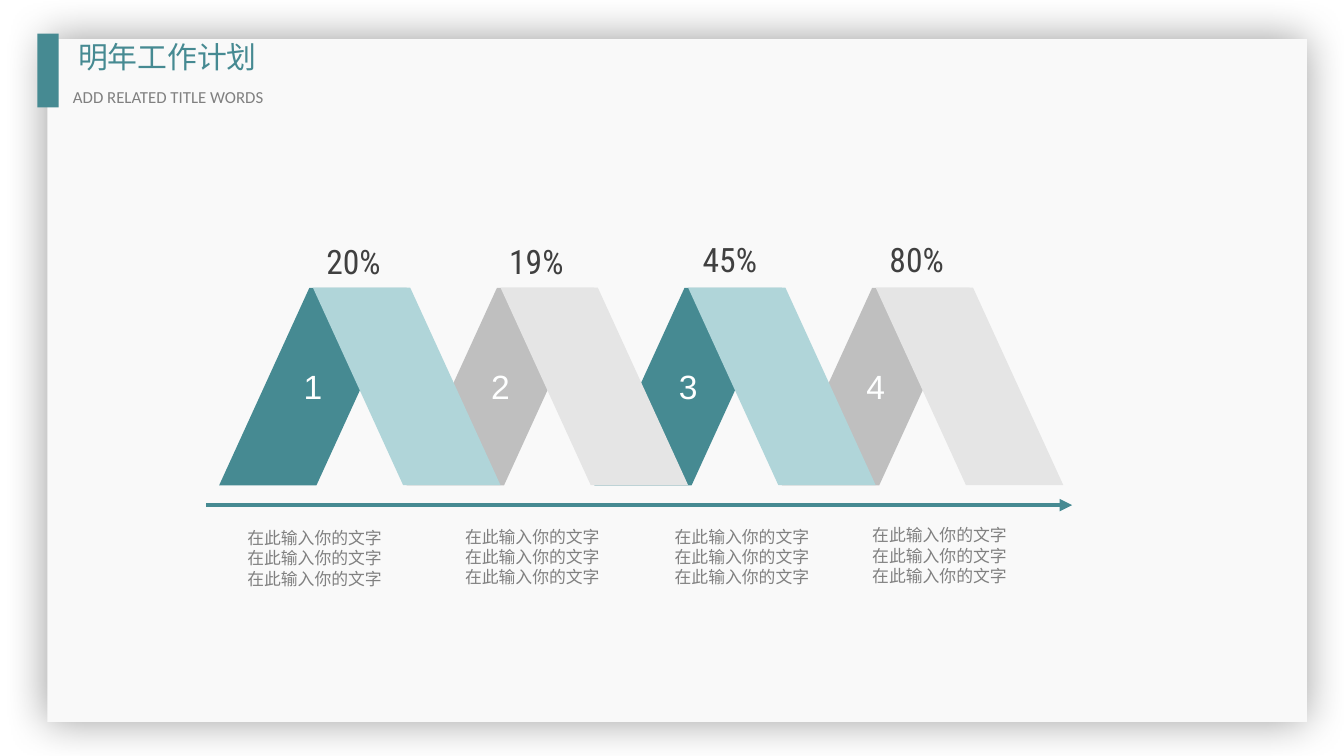
import pptx
import pptx.util
import pptx.dml.color
import pptx.enum.shapes
import pptx.enum.text
import pptx.oxml
import pptx.oxml.ns
from lxml import etree

Pt = pptx.util.Pt
SHAPE = pptx.enum.shapes.MSO_SHAPE
ALIGN = pptx.enum.text.PP_ALIGN
COLORS = {
    "panel": "F9F9F9",
    "teal": "468A92",
    "light_teal": "B0D5D9",
    "silver": "BFBFBF",
    "light_silver": "E5E5E5",
    "number": "FEFFFF",
    "percent": "404040",
    "body": "808080",
    "shadow": "000000",
}
CJK = "Noto Sans CJK SC"
STEPS = [
    ("1", "20%", "teal", "light_teal", (167.76, 125.28), (127.44, 280.08)),
    ("2", "19%", "silver", "light_silver", (265.68, 125.28), (244.08, 279.36)),
    ("3", "45%", "teal", "light_teal", (369.36, 124.56), (356.4, 279.36)),
    ("4", "80%", "silver", "light_silver", (469.44, 124.56), (462.24, 278.64)),
]


def rgb(name):
    return pptx.dml.color.RGBColor.from_string(COLORS[name])


def add_effects(properties, content=""):
    namespace = pptx.oxml.ns.nsdecls("a")
    properties.append(
        pptx.oxml.parse_xml(f"<a:effectLst {namespace}>{content}</a:effectLst>")
    )


def add_block(slide, kind, box, color):
    block = slide.shapes.add_shape(kind, *map(Pt, box))
    block.shadow.inherit = False
    block.fill.solid()
    block.fill.fore_color.rgb = rgb(color)
    block.line.fill.background()
    return block


def write_text(frame, text, size, font, color, align=ALIGN.LEFT,
               anchor=pptx.enum.text.MSO_ANCHOR.TOP, wrap=True, insets=(7.2, 3.6)):
    frame.word_wrap = wrap
    frame.vertical_anchor = anchor
    frame.margin_left = frame.margin_right = Pt(insets[0])
    frame.margin_top = frame.margin_bottom = Pt(insets[1])
    frame.text = text
    for paragraph in frame.paragraphs:
        paragraph.alignment = align
        for run in paragraph.runs:
            run.font.size = Pt(size)
            run.font.name = font
            run.font.color.rgb = rgb(color)
            east_asian = etree.SubElement(
                run.font._element, pptx.oxml.ns.qn("a:ea")
            )
            east_asian.set("typeface", font)


def add_label(slide, box, text, **style):
    label = slide.shapes.add_textbox(*map(Pt, box))
    write_text(label.text_frame, text, **style)


def add_panel(slide, box):
    panel = add_block(slide, SHAPE.RECTANGLE, box, "panel")
    properties = panel.element.spPr
    properties.remove(properties.find(pptx.oxml.ns.qn("a:effectLst")))
    add_effects(
        properties,
        f'<a:outerShdw blurRad="{Pt(23)}" dist="0" dir="0" algn="ctr" rotWithShape="0">'
        f'<a:srgbClr val="{COLORS["shadow"]}"><a:alpha val="40000"/></a:srgbClr>'
        "</a:outerShdw>",
    )


def add_header(slide, left, top):
    add_block(slide, SHAPE.RECTANGLE, (left, top, 11.5, 39.6), "teal")
    add_label(slide, (left + 16.4, top, 144.7, 25.2), "明年工作计划", size=16,
              font=CJK, color="teal", align=ALIGN.JUSTIFY, insets=(5.4, 2.7))
    add_label(slide, (left + 13.7, top + 25.7, 160.6, 16.6),
              "ADD RELATED TITLE WORDS", size=9, font="Calibri",
              color="body", align=ALIGN.JUSTIFY, insets=(5.4, 2.7))


def add_ribbon(slide, left, top, pitch, height):
    def add_band(x, color):
        band = add_block(slide, SHAPE.PARALLELOGRAM, (x, top, pitch, height), color)
        band.adjustments[0] = 0.481
        return band

    for index, (number, _, color, _, _, _) in enumerate(STEPS):
        rising = add_band(left + index * pitch, color)
        write_text(rising.text_frame, number, size=18, font="Arial", color="number",
                   align=ALIGN.CENTER, anchor=pptx.enum.text.MSO_ANCHOR.MIDDLE)
    for index, (_, _, _, color, _, _) in enumerate(STEPS):
        falling = add_band(left + (index + 0.5) * pitch, color)
        falling.element.spPr.xfrm.set("flipV", "1")


def add_timeline(slide, left, top, width):
    arrow = slide.shapes.add_connector(
        pptx.enum.shapes.MSO_CONNECTOR.STRAIGHT,
        Pt(left), Pt(top), Pt(left + width), Pt(top),
    )
    arrow.line.color.rgb = rgb("teal")
    arrow.line.width = Pt(2.25)
    tail = etree.SubElement(arrow.line._get_or_add_ln(), pptx.oxml.ns.qn("a:tailEnd"))
    tail.set("type", "triangle")
    add_effects(arrow.element.spPr)


def add_step_labels(slide):
    description = "\n".join(["在此输入你的文字"] * 3)
    for _, percent, _, _, percent_at, description_at in STEPS:
        add_label(slide, (*description_at, 96.5, 38.2), description, size=9,
                  font=CJK, color="body", insets=(5.04, 2.7))
        add_label(slide, (*percent_at, 47.5, 28.8), percent, size=18,
                  font="Roboto Condensed", color="percent", wrap=False)


def main():
    deck = pptx.Presentation()
    deck.slide_width, deck.slide_height = Pt(720), Pt(405)
    slide = deck.slides.add_slide(deck.slide_layouts[6])
    add_panel(slide, (25.4, 21, 674.8, 365.8))
    add_header(slide, 20, 18)
    add_ribbon(slide, 117.4, 154.2, 100.5, 105.8)
    add_timeline(slide, 110.5, 270.6, 463.9)
    add_step_labels(slide)
    deck.save("out.pptx")


if __name__ == "__main__":
    main()
